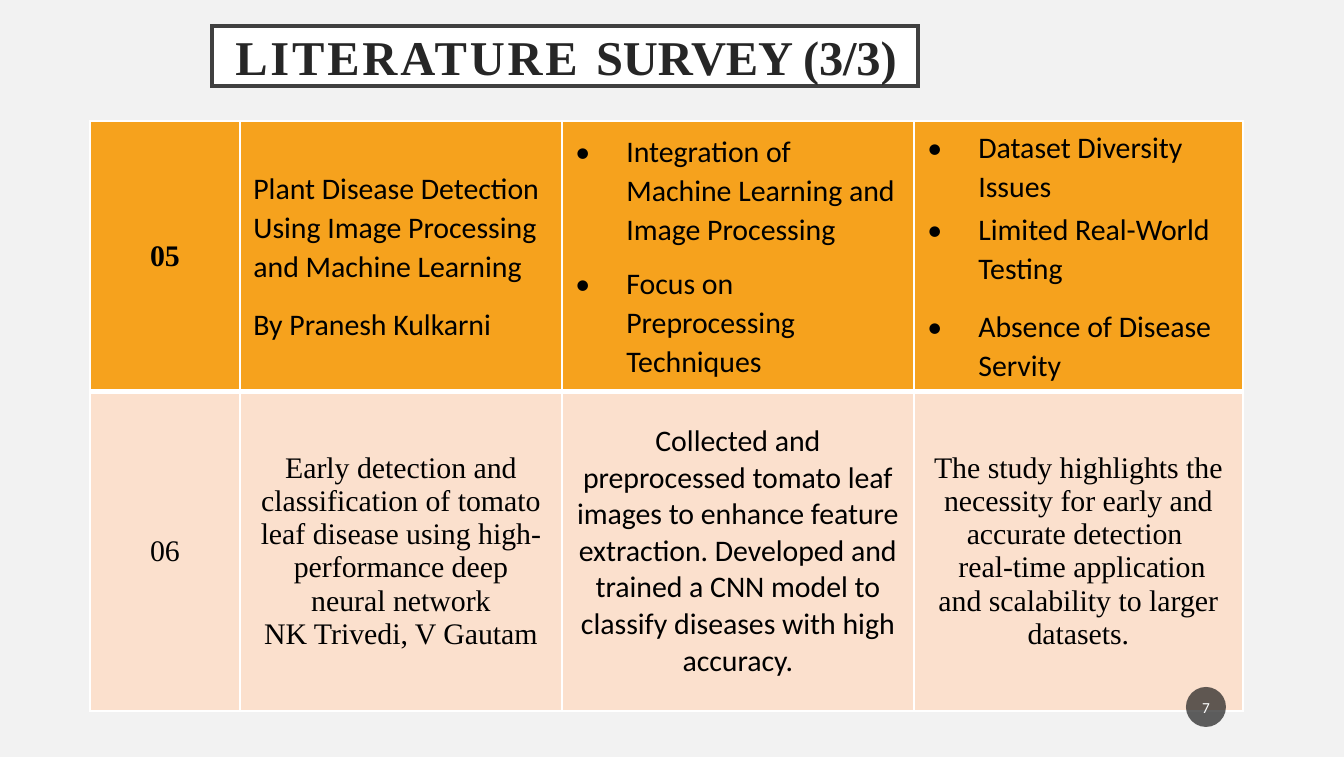
from lxml.etree import SubElement
from pptx import Presentation
from pptx.dml.color import RGBColor
from pptx.enum.shapes import MSO_SHAPE
from pptx.enum.text import MSO_ANCHOR, MSO_AUTO_SIZE, PP_ALIGN
from pptx.oxml.ns import qn
from pptx.util import Emu, Pt

EMU_PER_PX = 914400 / 134.4
COLORS = {
    "background": "F2F2F2", "white": "FFFFFF", "black": "000000",
    "title": "262626", "frame": "404040", "badge": "1D1D1D",
    "orange": "F6A21D", "peach": "FBE0CD",
}
SERIF, SANS = "Times New Roman", "Calibri"


def px(length):
    return Emu(round(length * EMU_PER_PX))


def color(name):
    return RGBColor.from_string(COLORS[name])


def paint(fill, name):
    fill.solid()
    fill.fore_color.rgb = color(name)


class SlideBuilder:
    def __init__(self, presentation):
        self.slide = presentation.slides.add_slide(presentation.slide_layouts[5])
        paint(self.slide.background.fill, "background")

    def style_font(self, font, size, name, color_name, bold=False):
        font.size, font.name, font.bold = Pt(size), name, bold
        font.color.rgb = color(color_name)

    def set_margins(self, frame, horizontal, vertical):
        frame.margin_left = frame.margin_right = px(horizontal)
        frame.margin_top = frame.margin_bottom = px(vertical)
        frame.vertical_anchor = MSO_ANCHOR.MIDDLE
        frame.word_wrap = True

    def title(self, parts, left, top, width, height):
        """Fill the framed title with (text, letter spacing in points) parts."""
        shape = self.slide.shapes.title
        shape.left, shape.top, shape.width, shape.height = map(px, (left, top, width, height))
        paint(shape.fill, "white")
        shape.line.color.rgb = color("frame")
        shape.line.width = Pt(2.5)
        SubElement(shape.line._get_or_add_ln(), qn("a:miter"), lim="800000")
        frame = shape.text_frame
        self.set_margins(frame, 0, 0)
        frame.auto_size = MSO_AUTO_SIZE.NONE
        paragraph = frame.paragraphs[0]
        paragraph.alignment = PP_ALIGN.CENTER
        paragraph._p.get_or_add_pPr().set("marL", str(px(2)))
        for text, spacing in parts:
            run = paragraph.add_run()
            run.text = text
            self.style_font(run.font, 26, SERIF, "title", True)
            run._r.get_or_add_rPr().set("spc", str(round(spacing * 100)))

    def table(self, left, top, widths, heights):
        shape = self.slide.shapes.add_table(
            len(heights), len(widths), px(left), px(top), px(sum(widths)), px(sum(heights)))
        table = shape.table
        table.first_row = table.horz_banding = False
        for column, width in zip(table.columns, widths):
            column.width = px(width)
        for row, height in zip(table.rows, heights):
            row.height = px(height)
        return table

    def cell(self, cell, fill, borders, paragraphs, font, bold=False, centered=True,
             bulleted=False, line_spacing=None, gaps=None):
        """Fill one cell; gaps holds the points after each paragraph, borders L, R, T, B."""
        properties = cell._tc.get_or_add_tcPr()
        for side, width in zip("LRTB", borders):
            line = SubElement(properties, qn(f"a:ln{side}"), w=str(Pt(width)))
            solid = SubElement(line, qn("a:solidFill"))
            SubElement(solid, qn("a:srgbClr"), val=COLORS["white"])
        paint(cell.fill, fill)
        cell.vertical_anchor = MSO_ANCHOR.MIDDLE
        cell.text_frame.text = "\n".join(paragraphs)
        for index, paragraph in enumerate(cell.text_frame.paragraphs):
            if bulleted:
                format_element = paragraph._p.get_or_add_pPr()
                format_element.set("marL", str(px(51)))
                format_element.set("indent", str(-px(51)))
                SubElement(format_element, qn("a:buFont"), typeface=font)
                SubElement(format_element, qn("a:buChar"), char="•")
            paragraph.alignment = PP_ALIGN.CENTER if centered else PP_ALIGN.LEFT
            if line_spacing:
                paragraph.line_spacing = line_spacing
            if gaps:
                paragraph.space_before = Pt(2 if index else 0)
                paragraph.space_after = Pt(gaps[index])
            for run in paragraph.runs:
                self.style_font(run.font, 16, font, "black", bold)

    def badge(self, text, left, top, size):
        shape = self.slide.shapes.add_shape(
            MSO_SHAPE.OVAL, px(left), px(top), px(size), px(size))
        shape.shadow.inherit = False
        paint(shape.fill, "badge")
        fill_color = shape._element.spPr.find(f"{qn('a:solidFill')}/{qn('a:srgbClr')}")
        SubElement(fill_color, qn("a:alpha"), val="70000")
        shape.line.fill.background()
        frame = shape.text_frame
        self.set_margins(frame, 3, 6)
        frame.text = text
        paragraph = frame.paragraphs[0]
        paragraph.alignment = PP_ALIGN.CENTER
        self.style_font(paragraph.runs[0].font, 8.2, SANS, "white")


def main():
    presentation = Presentation()
    presentation.slide_width, presentation.slide_height = px(1344), px(757)
    builder = SlideBuilder(presentation)
    builder.title([("LITERATURE ", 1.5), ("SURVEY (3/3)", -0.1)], 212, 26, 706, 60)

    prose = {"font": SANS, "centered": False, "line_spacing": 1.07}
    bullets = {**prose, "bulleted": True}
    first_survey = [
        (["05"], {"font": SERIF, "bold": True}),
        (["Plant Disease Detection Using Image Processing and Machine Learning",
          "By Pranesh Kulkarni"], {**prose, "gaps": [8, 8]}),
        (["Integration of Machine Learning and Image Processing",
          "Focus on Preprocessing Techniques"], {**bullets, "gaps": [6, 6]}),
        (["Dataset Diversity Issues", "Limited Real-World Testing",
          "Absence of Disease Servity"], {**bullets, "gaps": [0, 8, 8]}),
    ]
    second_survey = [
        (["06"], {"font": SERIF}),
        (["Early detection and classification of tomato leaf disease using "
          "high-performance deep neural network", "NK Trivedi, V Gautam"], {"font": SERIF}),
        (["Collected and preprocessed tomato leaf images to enhance feature extraction. "
          "Developed and trained a CNN model to classify diseases with high accuracy."],
         {"font": SANS}),
        (["The study highlights the necessity for early and accurate detection ",
          " real-time application and scalability to larger datasets."], {"font": SERIF}),
    ]
    rows = [
        ("orange", (1, 1, 1, 3), first_survey),
        ("peach", (1, 1, 3, 1), second_survey),
    ]
    table = builder.table(90, 121, [150, 322, 352, 329], [263, 320])
    for row_index, (fill, borders, survey) in enumerate(rows):
        for column_index, (paragraphs, style) in enumerate(survey):
            builder.cell(table.cell(row_index, column_index), fill, borders, paragraphs, **style)

    builder.badge("7", 1186, 687, 40)
    presentation.save("out.pptx")


if __name__ == "__main__":
    main()
